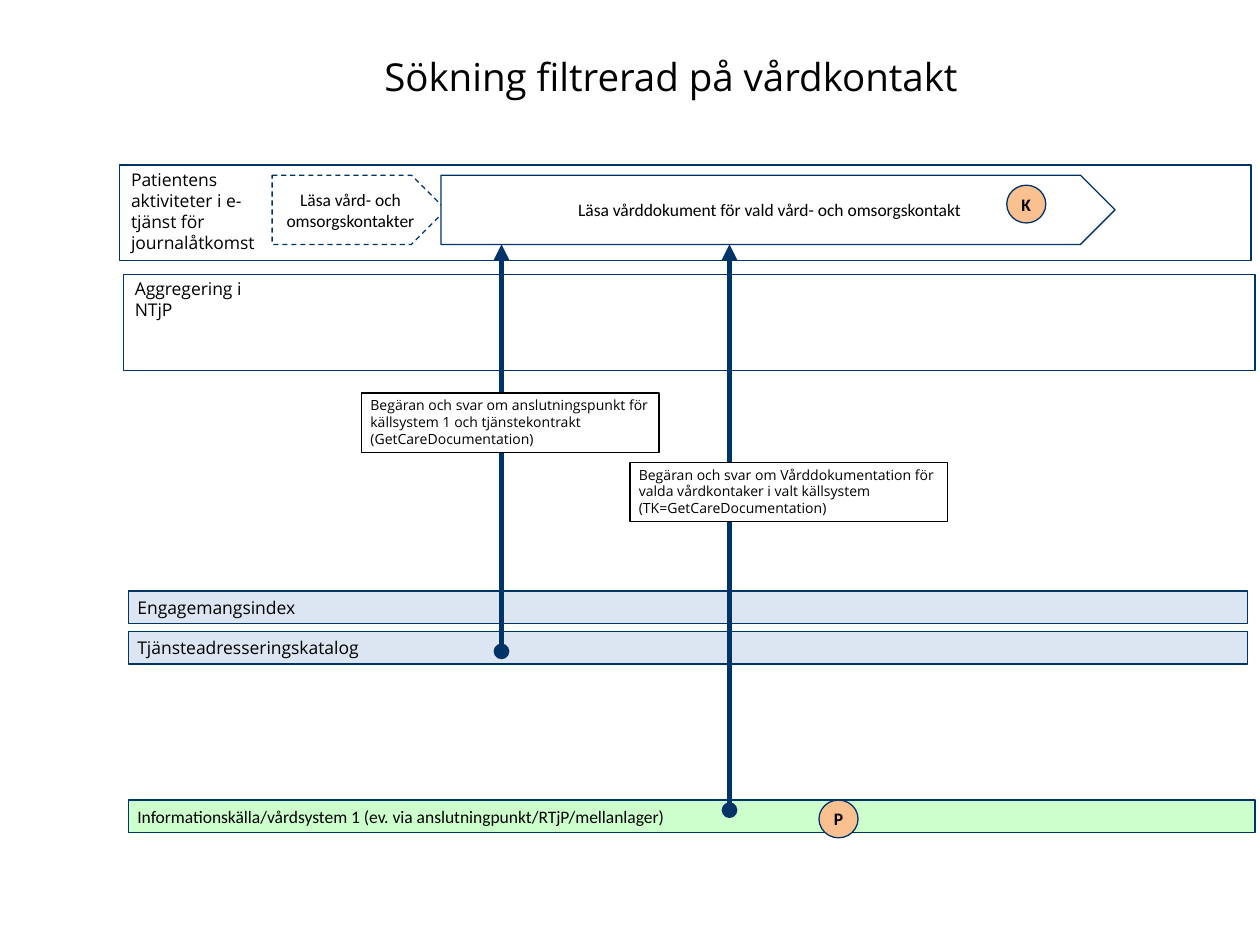
import pptx
import pptx.util
import pptx.dml.color
import pptx.enum.dml
import pptx.enum.shapes
import pptx.enum.text
import pptx.oxml
import pptx.oxml.ns

Inches, Pt = pptx.util.Inches, pptx.util.Pt
RGBColor = pptx.dml.color.RGBColor
MSO_SHAPE = pptx.enum.shapes.MSO_SHAPE
PP_ALIGN = pptx.enum.text.PP_ALIGN
MSO_ANCHOR = pptx.enum.text.MSO_ANCHOR

NAVY = RGBColor(0x00, 0x34, 0x68)
BLACK = RGBColor(0x00, 0x00, 0x00)
WHITE = RGBColor(0xFF, 0xFF, 0xFF)
PALE_BLUE = RGBColor(0xDC, 0xE6, 0xF2)
GREEN = RGBColor(0xCC, 0xFF, 0xCC)
ORANGE = RGBColor(0xFA, 0xC0, 0x90)


def write(s, text, size=10, font="Open Sans", bold=False, wrap=True,
          align=PP_ALIGN.LEFT, anchor=MSO_ANCHOR.MIDDLE, inset=(0.07, 0.03)):
    tf = s.text_frame
    tf.word_wrap = wrap
    tf.vertical_anchor = anchor
    tf.margin_left = tf.margin_right = Inches(inset[0])
    tf.margin_top = tf.margin_bottom = Inches(inset[1])
    p = tf.paragraphs[0]
    p.alignment = align
    r = p.add_run()
    r.text = text
    r.font.size, r.font.name, r.font.bold = Pt(size), font, bold
    r.font.color.rgb = BLACK


def add_box(kind, left, top, width, height, fill=None, line=NAVY):
    s = slide.shapes.add_shape(kind, Inches(left), Inches(top), Inches(width), Inches(height))
    s.shadow.inherit = False
    if fill is None:
        s.fill.background()
    else:
        s.fill.solid()
        s.fill.fore_color.rgb = fill
    s.line.color.rgb = line
    s.line.width = Pt(0.75)
    return s


prs = pptx.Presentation()
prs.slide_width, prs.slide_height = Inches(10), Inches(7.5)
slide = prs.slides.add_slide(prs.slide_layouts[5])

# Title
title = slide.shapes.title
title.left, title.top, title.width, title.height = Inches(2.95), Inches(0.29), Inches(6.65), Inches(0.63)
write(title, "Sökning filtrerad på vårdkontakt", size=22, inset=(0.1, 0.05))

# System bands
for text, top, width, fill, font in [
    ("Engagemangsindex", 4.69, 8.88, PALE_BLUE, "Open Sans"),
    ("Tjänsteadresseringskatalog", 5.01, 8.88, PALE_BLUE, "Open Sans"),
    ("Informationskälla/vårdsystem 1 (ev. via anslutningpunkt/RTjP/mellanlager)",
     6.35, 8.94, GREEN, "Calibri"),
]:
    write(add_box(MSO_SHAPE.RECTANGLE, 1.02, top, width, 0.26, fill), text, font=font)

# Outlined lanes with their labels
for text, left, top, label_left, label_width, label_height in [
    ("Aggregering i NTjP", 0.98, 2.18, 1, 1.1, 0.41),
    ("Patientens aktiviteter i e-tjänst för journalåtkomst", 0.95, 1.31, 0.97, 1.22, 0.74),
]:
    label = slide.shapes.add_textbox(Inches(label_left), Inches(top),
                                     Inches(label_width), Inches(label_height))
    write(label, text, anchor=MSO_ANCHOR.TOP)
    add_box(MSO_SHAPE.RECTANGLE, left, top, 8.98, 0.76)

# First activity
activity = add_box(MSO_SHAPE.PENTAGON, 2.16, 1.39, 1.38, 0.55, WHITE)
activity.line.dash_style = pptx.enum.dml.MSO_LINE.DASH
write(activity, "Läsa vård- och omsorgskontakter", font="Calibri", align=PP_ALIGN.CENTER)

# Request arrows, each with its note on top
for x, bottom, left, top, width, text in [
    (3.98, 5.17, 2.87, 3.12, 2.36,
     "Begäran och svar om anslutningspunkt för källsystem 1 och tjänstekontrakt "
     "(GetCareDocumentation)"),
    (5.79, 6.43, 5, 3.67, 2.52,
     "Begäran och svar om Vårddokumentation för valda vårdkontaker i valt källsystem "
     "(TK=GetCareDocumentation)"),
]:
    arrow = slide.shapes.add_connector(pptx.enum.shapes.MSO_CONNECTOR.STRAIGHT,
                                       Inches(x), Inches(1.94), Inches(x), Inches(bottom))
    arrow.line.color.rgb = NAVY
    arrow.line.width = Pt(3)
    ln = arrow.line._get_or_add_ln()
    for tag, end in [("a:headEnd", "triangle"), ("a:tailEnd", "oval")]:
        el = pptx.oxml.parse_xml(f'<{tag} {pptx.oxml.ns.nsdecls("a")} type="{end}"/>')
        ln.append(el)
    arrow._element.spPr.append(
        pptx.oxml.parse_xml(f'<a:effectLst {pptx.oxml.ns.nsdecls("a")}/>'))
    note = add_box(MSO_SHAPE.RECTANGLE, left, top, width, 0.47, WHITE, BLACK)
    write(note, text, size=8, anchor=MSO_ANCHOR.TOP)

# Second activity
activity = add_box(MSO_SHAPE.PENTAGON, 3.5, 1.39, 5.35, 0.55, WHITE)
write(activity, "Läsa vårddokument för vald vård- och omsorgskontakt",
      font="Calibri", align=PP_ALIGN.CENTER)

# Markers
for text, left, top in [("P", 6.5, 6.35), ("K", 7.99, 1.47)]:
    marker = add_box(MSO_SHAPE.OVAL, left, top, 0.31, 0.3, ORANGE)
    write(marker, text, font="Calibri", bold=True, wrap=False, align=PP_ALIGN.CENTER)

prs.save("out.pptx")
